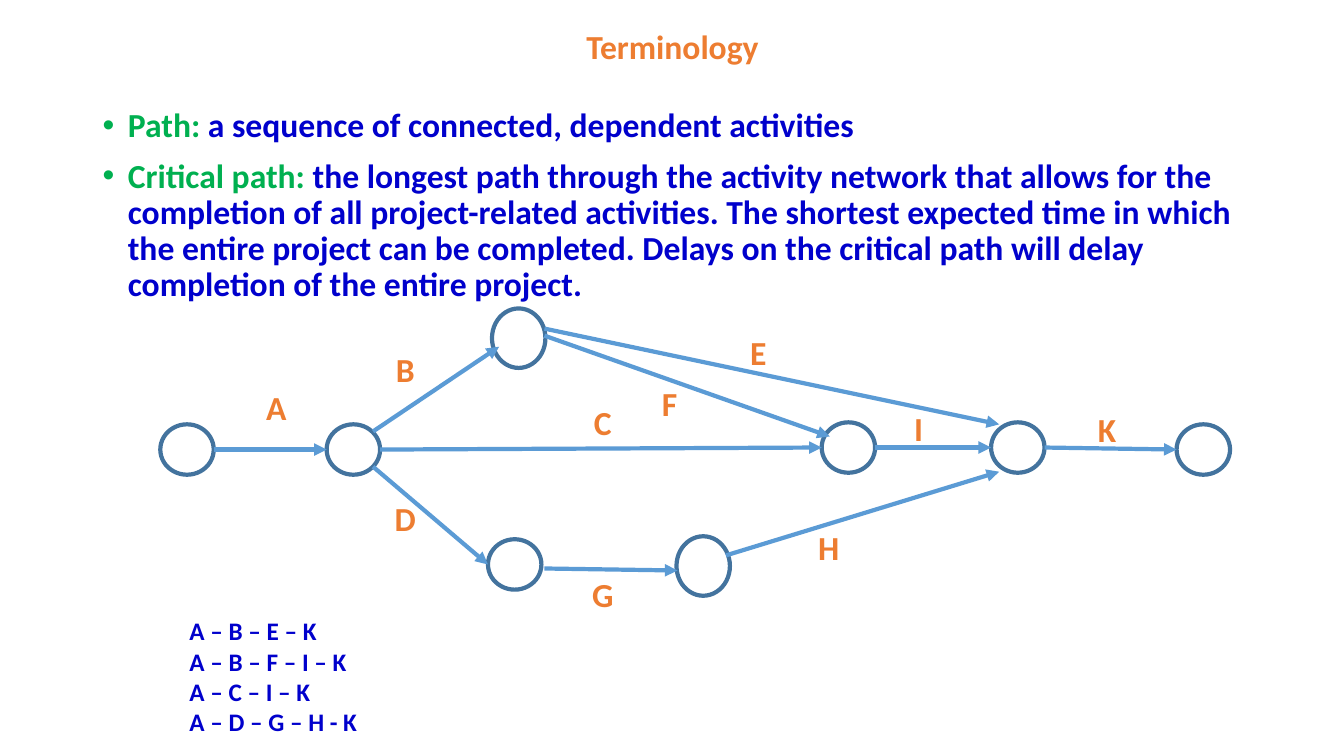
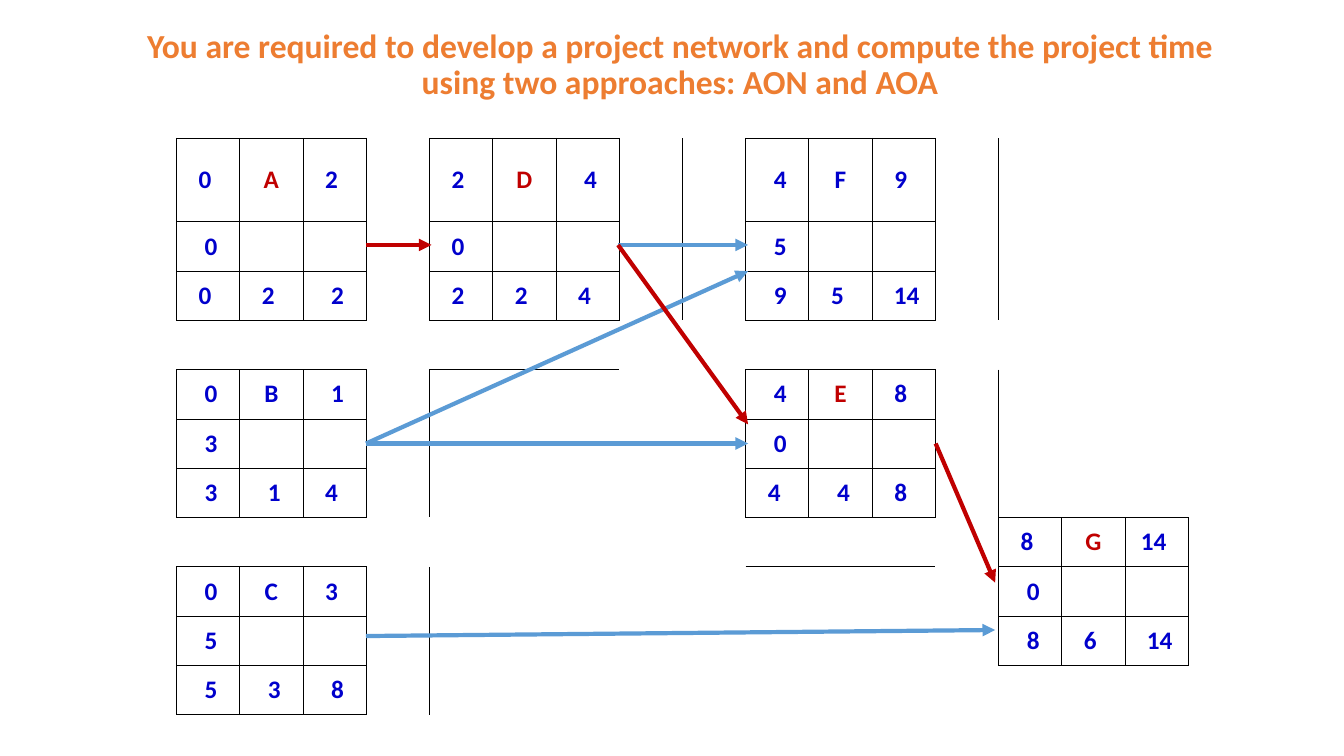
"""Build two slides: the critical path terms and the project network."""
from pptx import Presentation
from pptx.dml.color import RGBColor
from pptx.enum.shapes import MSO_CONNECTOR, MSO_SHAPE
from pptx.enum.text import MSO_ANCHOR, PP_ALIGN
from pptx.oxml.ns import qn
from pptx.util import Inches, Pt
from lxml.etree import SubElement

ORANGE, GREEN, NAVY, RED = "ED7D31", "00B050", "0000CC", "C00000"
BLUE, STEEL, BLACK = "5B9BD5", "43739E", "000000"
TITLE = {"alignment": PP_ALIGN.CENTER, "line_spacing": 0.9}
LABEL = {"alignment": PP_ALIGN.CENTER}
BODY = {"line_spacing": 0.9}
FLAT = {"margin_left": 0, "margin_right": 0, "margin_top": 0, "margin_bottom": 0,
        "vertical_anchor": MSO_ANCHOR.MIDDLE}


def write(frame, lines, size, look):
    """Fill a text frame; each line is a list of (text, colour) runs."""
    frame.word_wrap = True
    for i, runs in enumerate(lines):
        para = frame.paragraphs[0] if i == 0 else frame.add_paragraph()
        for key, value in look.items():
            setattr(para, key, value)
        for text, color in runs:
            run = para.add_run()
            run.text = text
            font = {"name": "Calibri", "size": Pt(size), "bold": True}
            for key, value in font.items():
                setattr(run.font, key, value)
            run.font.color.rgb = RGBColor.from_string(color)


def link(slide, ends, color):
    """Draw an arrow from the first point to the second."""
    line = slide.shapes.add_connector(MSO_CONNECTOR.STRAIGHT, *map(Inches, ends))
    line.line.width = Pt(3)
    line.line.color.rgb = RGBColor.from_string(color)
    props = line._element.spPr
    SubElement(props.find(qn("a:ln")), qn("a:tailEnd"), type="triangle")
    SubElement(props, qn("a:effectLst"))


deck = Presentation()
deck.slide_width, deck.slide_height = Inches(13.33), Inches(7.5)

titles = [
    ("Terminology", (0.92, 0.24, 11.5, 0.49)),
    ("You are required to develop a project network and compute the project time "
     "using two approaches: AON and AOA", (1.26, 0, 10.97, 1.3)),
]
for text, area in titles:
    slide = deck.slides.add_slide(deck.slide_layouts[6])
    frame = slide.shapes.add_textbox(*map(Inches, area)).text_frame
    frame.vertical_anchor = MSO_ANCHOR.MIDDLE
    write(frame, [[(text, ORANGE)]], 24, TITLE)
terms, plan = deck.slides

points = [
    [("Path: ", GREEN), ("a sequence of connected, dependent activities", NAVY)],
    [("Critical path: ", GREEN),
     ("the longest path through the activity network that allows for the completion "
      "of all project-related activities. The shortest expected time in which the "
      "entire project can be completed. Delays on the critical path will delay "
      "completion of the entire project.", NAVY)],
]
area = (0.92, 1.03, 11.5, 6.05)
frame = terms.shapes.add_textbox(*map(Inches, area)).text_frame
write(frame, points, 24, BODY)
for para in frame.paragraphs:
    props = para._p.get_or_add_pPr()
    props.set("marL", str(Inches(0.25)))
    props.set("indent", str(Inches(-0.25)))
    SubElement(props, qn("a:buFont"), typeface="Arial")
    SubElement(props, qn("a:buChar"), char="•")
frame.paragraphs[1].space_before = Pt(10)

nodes = [
    (1.59, 4.21, 0.5), (3.24, 4.21, 0.5), (4.88, 3.06, 0.59), (4.84, 5.35, 0.5),
    (6.71, 5.32, 0.59), (8.15, 4.19, 0.5), (9.83, 4.19, 0.5), (11.67, 4.21, 0.5),
]
for left, top, high in nodes:
    node = terms.shapes.add_shape(
        MSO_SHAPE.OVAL, *map(Inches, (left, top, 0.53, high)))
    node.shadow.inherit = False
    node.fill.background()
    node.line.width = Pt(3)
    node.line.color.rgb = RGBColor.from_string(STEEL)

tasks = [
    ("A", (2.42, 3.79), (2.12, 4.46, 3.24, 4.46)),
    ("B", (3.7, 3.41), (3.7, 4.28, 4.95, 3.44)),
    ("C", (5.66, 3.94), (3.77, 4.46, 8.15, 4.44)),
    ("D", (3.7, 4.89), (3.7, 4.63, 4.84, 5.6)),
    ("E", (7.2, 3.24), (5.4, 3.26, 9.91, 4.21)),
    ("F", (6.32, 3.75), (5.4, 3.33, 8.23, 4.33)),
    ("G", (5.66, 5.64), (5.4, 5.64, 6.72, 5.66)),
    ("H", (7.9, 5.18), (7.2, 5.51, 9.91, 4.68)),
    ("I", (8.79, 4), (8.68, 4.44, 9.83, 4.44)),
    ("K", (10.66, 4.01), (10.36, 4.44, 11.67, 4.46)),
]
for name, spot, ends in tasks:
    link(terms, ends, BLUE)
    frame = terms.shapes.add_textbox(*map(Inches, (*spot, 0.64, 0.51))).text_frame
    write(frame, [[(name, ORANGE)]], 24, LABEL)

routes = ["A – B – E – K", "A – B – F – I – K", "A – C – I – K", "A – D – G – H - K"]
area = (1.78, 6.06, 8.37, 1.31)
frame = terms.shapes.add_textbox(*map(Inches, area)).text_frame
write(frame, [[(route, NAVY)] for route in routes], 18, {})

ROWS, COLS, WIDE, HIGH, FIRST = 11, 16, 10.04, 5.72, 0.83
area = (1.75, 1.37, WIDE, HIGH)
table = plan.shapes.add_table(ROWS, COLS, *map(Inches, area)).table
table.first_row = table.horz_banding = False
style = table._tbl.tblPr.find(qn("a:tableStyleId"))
style.text = "{2D5ABB26-0587-4C30-8999-92F81FD0307C}"
for col in table.columns:
    col.width = Inches(WIDE / COLS)
for i, row in enumerate(table.rows):
    row.height = Inches(FIRST if i == 0 else (HIGH - FIRST) / (ROWS - 1))

boxes = [
    (0, 0, ["0 ", "A", "2 ", " 0", "", "", "0 ", "2 ", " 2"]),
    (0, 4, ["2 ", "D", " 4", "0 ", "", "", "2 ", "2 ", "4 "]),
    (0, 9, [" 4", "F", "9 ", " 5", "", "", " 9", "5 ", " 14"]),
    (4, 0, [" 0", "B", " 1", " 3", "", "", " 3", " 1", "4 "]),
    (4, 9, [" 4", "E", "8 ", " 0", "", "", "4 ", " 4", "8 "]),
    (7, 13, ["8 ", "G", "14 ", " 0", "", "", " 8", "6 ", " 14"]),
    (8, 0, [" 0", "C", "3 ", " 5", "", "", " 5", " 3", " 8"]),
]
sides = [("lnL", 0, -1, "lnR"), ("lnR", 0, 1, "lnL"),
         ("lnT", -1, 0, "lnB"), ("lnB", 1, 0, "lnT")]
edges = set()
for top, left, texts in boxes:
    for i, text in enumerate(texts):
        row, col = top + i // 3, left + i % 3
        cell = table.cell(row, col)
        for key, value in FLAT.items():
            setattr(cell, key, value)
        if text.startswith(" "):
            cell.margin_left = Inches(0.06)
        if text.endswith(" "):
            cell.margin_right = Inches(0.06)
        if text:
            color = RED if text in "ADEG" else NAVY
            write(cell.text_frame, [[(text.strip(), color)]], 18, LABEL)
        for side, down, over, twin in sides:
            if (i, side) not in [(4, "lnR"), (5, "lnL")]:
                edges |= {(row, col, side), (row + down, col + over, twin)}

for row in range(ROWS):
    for col in range(COLS):
        cell = table.cell(row, col)
        props = cell._tc.get_or_add_tcPr()
        for side, *_ in sides:
            if (row, col, side) in edges:
                line = SubElement(props, qn("a:" + side), w=str(Pt(0.5)))
                fill = SubElement(line, qn("a:solidFill"))
                SubElement(fill, qn("a:srgbClr"), val=BLACK)
        cell.fill.background()

flows = [
    (RED, (3.63, 2.43, 4.28, 2.43)), (BLUE, (6.13, 2.43, 7.42, 2.43)),
    (BLUE, (3.63, 4.4, 7.42, 2.69)), (BLUE, (3.63, 4.4, 7.42, 4.4)),
    (RED, (6.13, 2.43, 7.42, 4.21)), (RED, (9.28, 4.4, 9.87, 5.78)),
    (BLUE, (3.63, 6.31, 9.87, 6.25)),
]
for color, ends in flows:
    link(plan, ends, color)

deck.save("out.pptx")
